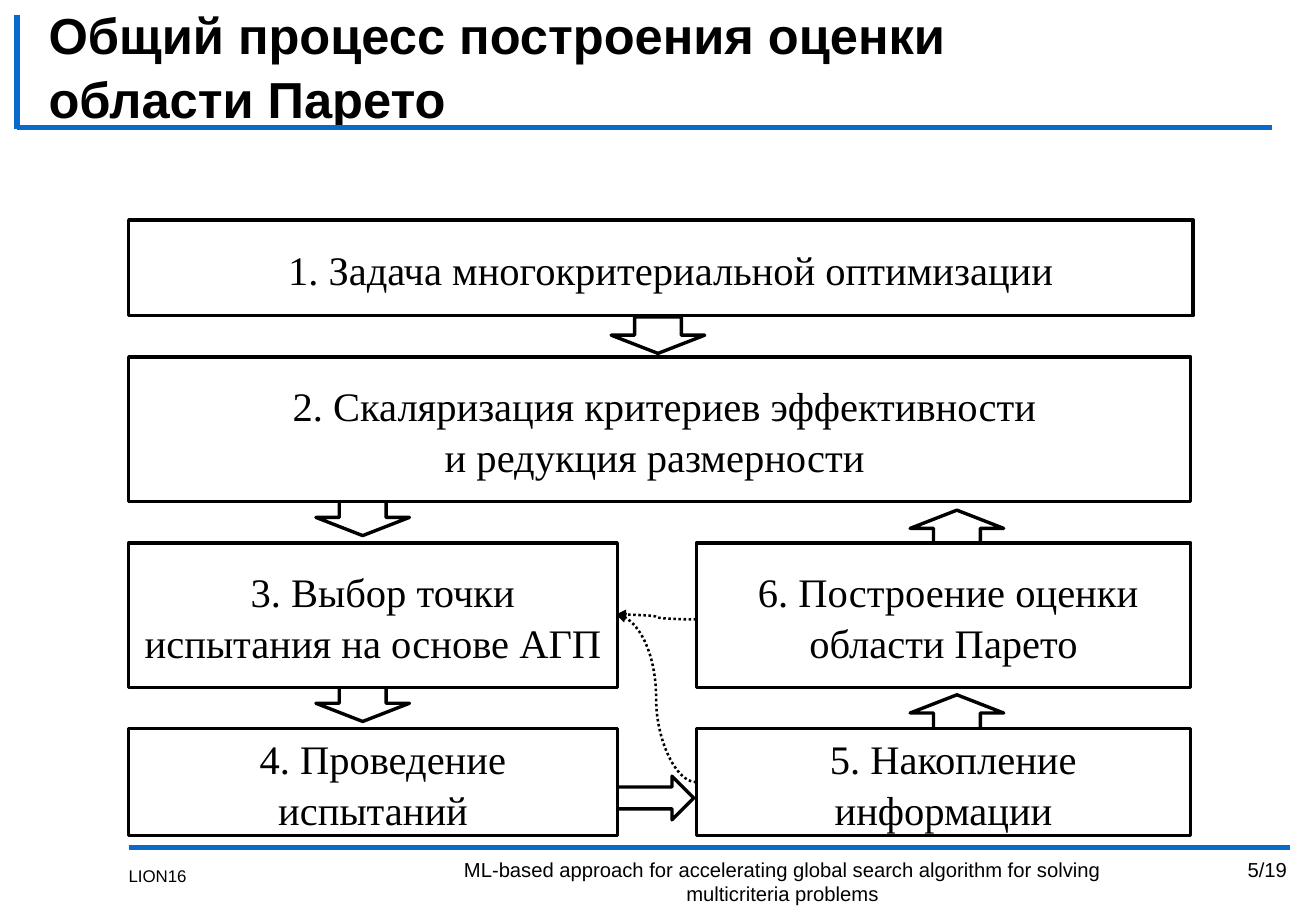
"""Build the slide on estimating the Pareto set as a flow of six steps."""
import pptx
import pptx.util
import pptx.dml.color
import pptx.enum.dml
import pptx.enum.shapes
import pptx.enum.text
import pptx.oxml

PX = 9144
BLACK = pptx.dml.color.RGBColor(0x00, 0x00, 0x00)
WHITE = pptx.dml.color.RGBColor(0xFF, 0xFF, 0xFF)
BLUE = pptx.dml.color.RGBColor(0x09, 0x69, 0xCD)
KIND = pptx.enum.shapes.MSO_SHAPE
LINK = pptx.enum.shapes.MSO_CONNECTOR
ALIGN = pptx.enum.text.PP_ALIGN
MIDDLE = pptx.enum.text.MSO_ANCHOR.MIDDLE
NS = 'xmlns:a="http://schemas.openxmlformats.org/drawingml/2006/main"'


def write(frame, text, size, face, align, gap=1.0):
    """Fill a text frame with one formatted paragraph."""
    frame.text = text
    frame.word_wrap = True
    frame.auto_size = pptx.enum.text.MSO_AUTO_SIZE.NONE
    par = frame.paragraphs[0]
    par.alignment = align
    par.line_spacing = gap
    for run in par.runs:
        run.font.size = pptx.util.Pt(size)
        run.font.name = face
        run.font.color.rgb = BLACK
    return par


def join(kind, ends, color, width):
    """Draw a connector without a shadow."""
    link = slide.shapes.add_connector(kind, *[n * PX for n in ends])
    link.line.color.rgb = color
    link.line.width = pptx.util.Pt(width)
    link._element.spPr.append(pptx.oxml.parse_xml(f"<a:effectLst {NS}/>"))
    return link


deck = pptx.Presentation()
deck.slide_width = 1083 * PX
deck.slide_height = 750 * PX
slide = deck.slides.add_slide(deck.slide_layouts[5])

for ends in [(106, 698, 1062, 698), (14, 105, 1047, 105), (14, 12, 14, 106)]:
    join(LINK.STRAIGHT, ends, BLUE, 3)

title = slide.shapes.title
title.left, title.top, title.width, title.height = [n * PX for n in (30, 23, 1035, 61)]
head = write(title.text_frame, "Общий процесс построения оценки \vобласти Парето",
             30, "Arial", ALIGN.LEFT, 1.05)
title.text_frame.vertical_anchor = MIDDLE
for run in head.runs:
    run.font.bold = True

topic = "ML-based approach for accelerating global search algorithm for solving multicriteria problems"
for text, size, align, place in [
    ("LION16", 10, ALIGN.LEFT, (96, 708, 224, 42)),
    (topic, 12, ALIGN.CENTER, (329, 701, 630, 49)),
    ("5/19", 12, ALIGN.RIGHT, (967, 701, 102, 49)),
]:
    box = slide.shapes.add_textbox(*[n * PX for n in place])
    write(box.text_frame, text, size, "Arial", align)

arrows = [(KIND.RIGHT_ARROW, 0, (486, 639, 85, 36))]
for left, top, turn in [(260, 564, 0), (749, 572, 180), (749, 420, 180),
                        (260, 411, 0), (503, 261, 0)]:
    arrows.append((KIND.DOWN_ARROW, turn, (left, top, 77, 30)))
steps = [
    ("1. Задача многокритериальной оптимизации", (106, 181, 876, 79)),
    ("2. Скаляризация критериев эффективности \vи редукция размерности ", (106, 294, 874, 119)),
    ("3. Выбор точки испытания на основе АГП", (106, 447, 402, 119)),
    ("4. Проведение испытаний", (106, 600, 402, 88)),
    ("5. Накопление информации", (573, 600, 407, 88)),
    ("6. Построение оценки \vобласти Парето", (573, 447, 407, 119)),
]
items = arrows + [(KIND.RECTANGLE, 0, place) for text, place in steps]
shapes = []
for kind, turn, place in items:
    shape = slide.shapes.add_shape(kind, *[n * PX for n in place])
    shape.rotation = turn
    shape.shadow.inherit = False
    shape.fill.solid()
    shape.fill.fore_color.rgb = WHITE
    shape.line.color.rgb = BLACK
    shape.line.width = pptx.util.Pt(2)
    shapes.append(shape)

for (text, place), shape in zip(steps, shapes[len(arrows):]):
    par = write(shape.text_frame, text, 24, "Times New Roman", ALIGN.CENTER, 1.05)
    shape.text_frame.vertical_anchor = MIDDLE
    par._p.get_or_add_pPr().set("indent", str(16 * PX))

for start in (510, 644):
    curve = join(LINK.CURVE, (573, start, 507, 506), BLACK, 1.5)
    curve.line.dash_style = pptx.enum.dml.MSO_LINE.ROUND_DOT
    tip = pptx.oxml.parse_xml(f'<a:tailEnd {NS} type="triangle"/>')
    curve.line._get_or_add_ln().append(tip)

deck.save("out.pptx")
